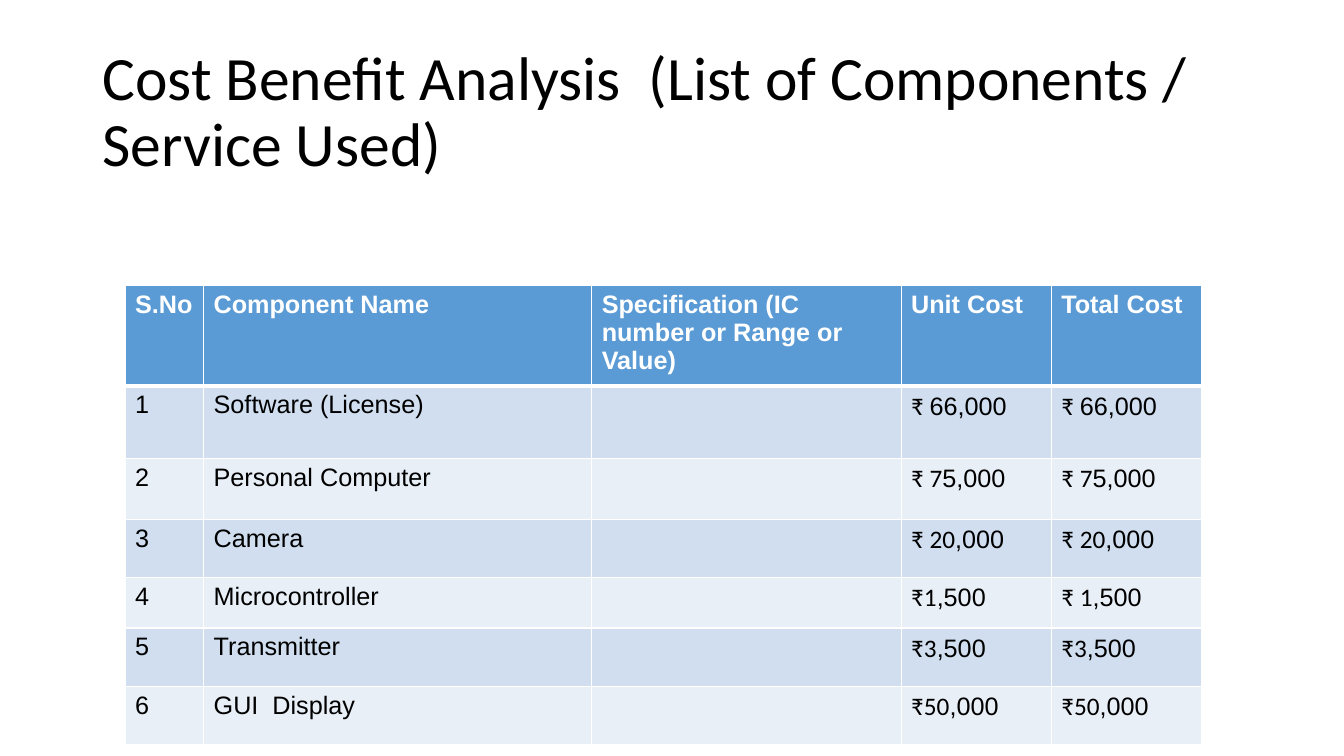
from dataclasses import dataclass

from lxml import etree
from pptx import Presentation
from pptx.dml.color import RGBColor
from pptx.enum.text import MSO_ANCHOR
from pptx.oxml.ns import qn
from pptx.util import Pt

MIDDLE = MSO_ANCHOR.MIDDLE
HEADING_FONT, BODY_FONT = "Calibri", "Arial"
COLORS = {
    "text": "000000",
    "white": "FFFFFF",
    "header": "5B9BD5",
    "odd": "D0DEEF",
    "even": "E9EFF7",
}


@dataclass
class Run:
    text: str
    font: str = BODY_FONT


@dataclass
class Price:
    lead: str  # rupee sign and the digits set in the heading font
    rest: str

    def runs(self) -> list[Run]:
        return [Run(self.lead, HEADING_FONT), Run(self.rest)]


@dataclass
class Component:
    name: str
    unit: Price
    total: Price
    height: float


TITLE = "Cost Benefit Analysis  (List of Components / Service Used)"
HEADERS = ["S.No", "Component Name", "Specification (IC number or Range or Value)",
           "Unit Cost", "Total Cost"]
WIDTHS = [56.16, 277.2, 221.04, 107.28, 107.28]
HEADER_HEIGHT = 34.56
COMPONENTS = [
    Component("Software (License)", Price("₹ ", "66,000"), Price("₹ ", "66,000"), 51.84),
    Component("Personal Computer", Price("₹ 7", "5,000"), Price("₹ 7", "5,000"), 43.2),
    Component("Camera", Price("₹ 20", ",000"), Price("₹ 20", ",000"), 41.76),
    Component("Microcontroller", Price("₹1", ",500"), Price("₹ 1", ",500"), 36),
    Component("Transmitter", Price("₹3", ",500"), Price("₹3", ",500"), 41.76),
    Component("GUI  Display", Price("₹50", ",000"), Price("₹50", ",000"), 41.76),
]


def rgb(name: str) -> RGBColor:
    return RGBColor.from_string(COLORS[name])


def set_borders(cell, widths: dict[str, float]) -> None:
    """Add white borders, given in the order L, R, T, B."""
    tcPr = cell._tc.get_or_add_tcPr()
    for i, (side, width) in enumerate(widths.items()):
        ln = etree.Element(qn(f"a:ln{side}"), w=str(Pt(width)))
        fill = etree.SubElement(ln, qn("a:solidFill"))
        etree.SubElement(fill, qn("a:srgbClr"), val=COLORS["white"])
        tcPr.insert(i, ln)


def fill_cell(cell, runs: list[Run], fill: str, header: bool) -> None:
    cell.fill.solid()
    cell.fill.fore_color.rgb = rgb(fill)
    borders = {"L": 1, "R": 1, "T": 1, "B": 3} if header else {"L": 1, "R": 1, "B": 1}
    set_borders(cell, borders)
    p = cell.text_frame.paragraphs[0]
    p.font.size = Pt(18)
    p.font.bold = header
    p.font.color.rgb = rgb("white" if header else "text")
    for run in runs:
        r = p.add_run()
        r.text = run.text
        r.font.name = run.font


def add_title(slide) -> None:
    tf = slide.shapes.add_textbox(Pt(66.24), Pt(28.8), Pt(828), Pt(104.4)).text_frame
    tf.word_wrap = True
    tf.vertical_anchor = MIDDLE
    p = tf.paragraphs[0]
    p.text = TITLE
    p.line_spacing = 0.9
    p.font.name = HEADING_FONT
    p.font.size = Pt(44)
    p.font.color.rgb = rgb("text")


def add_cost_table(slide) -> None:
    heights = [HEADER_HEIGHT] + [c.height for c in COMPONENTS]
    table = slide.shapes.add_table(len(heights), len(WIDTHS), Pt(89.28), Pt(203.76),
                                   Pt(sum(WIDTHS)), Pt(sum(heights))).table
    table.horz_banding = False
    for column, width in zip(table.columns, WIDTHS):
        column.width = Pt(width)
    for row, height in zip(table.rows, heights):
        row.height = Pt(height)

    # Header row, then numbered components with an empty specification
    rows = [[[Run(text)] for text in HEADERS]]
    for number, c in enumerate(COMPONENTS, 1):
        rows.append([[Run(str(number))], [Run(c.name)], [], c.unit.runs(), c.total.runs()])
    for i, cells in enumerate(rows):
        fill = "header" if i == 0 else "odd" if i % 2 else "even"
        for j, runs in enumerate(cells):
            fill_cell(table.cell(i, j), runs, fill, header=i == 0)


def main() -> None:
    prs = Presentation()
    prs.slide_width, prs.slide_height = Pt(960), Pt(540)
    slide = prs.slides.add_slide(prs.slide_layouts[6])
    add_title(slide)
    add_cost_table(slide)
    prs.save("out.pptx")


if __name__ == "__main__":
    main()
